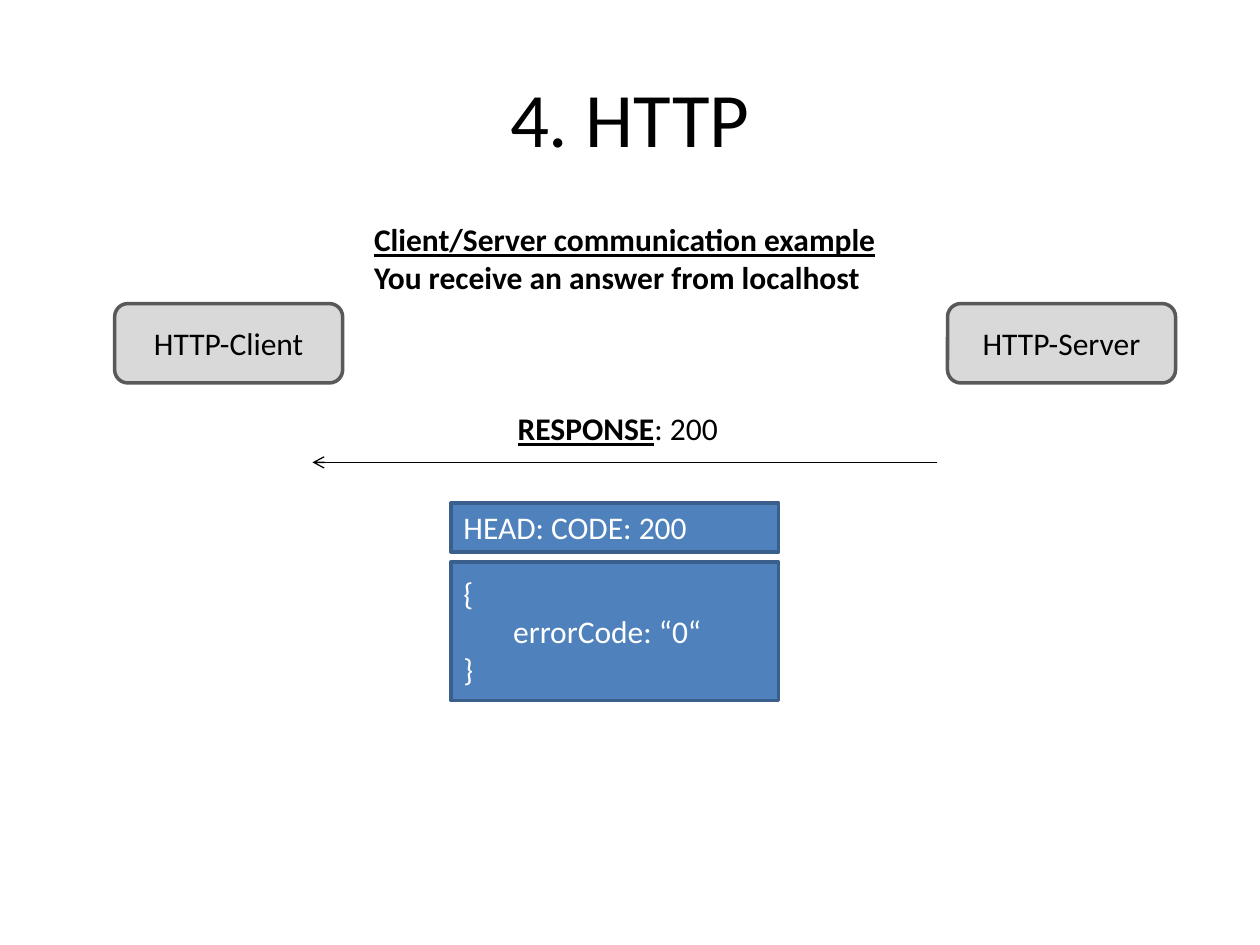
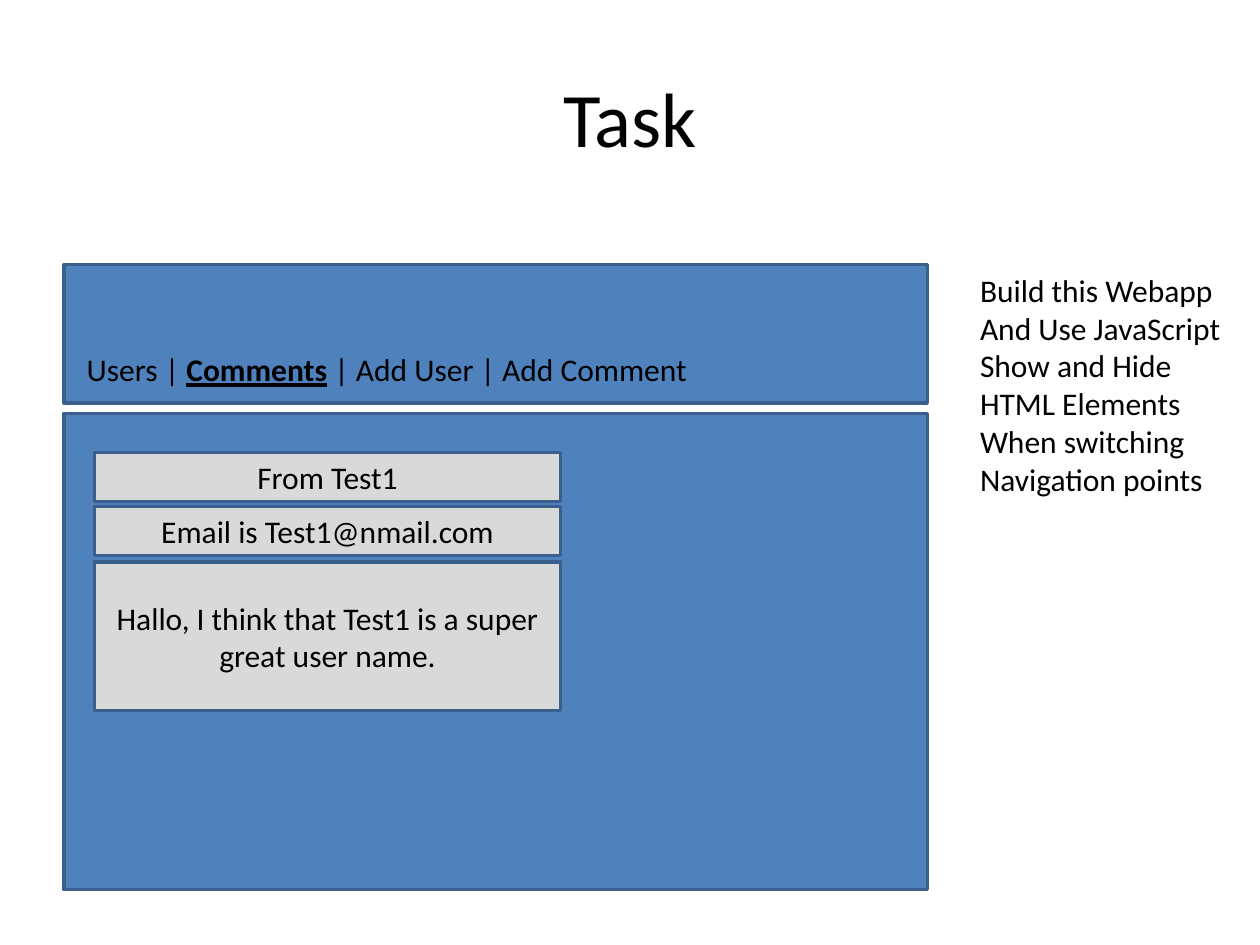
import pptx
import pptx.util
import pptx.dml.color
import pptx.enum.shapes
import pptx.enum.text
import pptx.oxml.ns
import lxml.etree

Inches = pptx.util.Inches
RGBColor = pptx.dml.color.RGBColor
Shape = pptx.enum.shapes.MSO_SHAPE
Align = pptx.enum.text.PP_ALIGN
Anchor = pptx.enum.text.MSO_ANCHOR

BLACK = RGBColor(0x00, 0x00, 0x00)
WHITE = RGBColor(0xFF, 0xFF, 0xFF)
BLUE = RGBColor(0x4F, 0x81, 0xBD)
DARK_BLUE = RGBColor(0x3A, 0x5F, 0x8C)
LIGHT_GREY = RGBColor(0xD9, 0xD9, 0xD9)
DARK_GREY = RGBColor(0x59, 0x59, 0x59)

PLAIN = (False, False)
BOLD = (True, False)
BOLD_UNDERLINED = (True, True)


def add_text(page, area, lines, size=18, align=Align.LEFT, anchor=Anchor.TOP, wrap=False):
    box = page.shapes.add_textbox(*map(Inches, area))
    frame = box.text_frame
    frame.word_wrap = wrap
    frame.vertical_anchor = anchor
    for number, line in enumerate(lines):
        para = frame.add_paragraph() if number else frame.paragraphs[0]
        para.alignment = align
        for words, (bold, underline) in line:
            span = para.add_run()
            span.text = words
            span.font.name = "Calibri"
            span.font.size = pptx.util.Pt(size)
            span.font.color.rgb = BLACK
            span.font.bold = bold
            span.font.underline = underline


def add_block(page, area, text="", fill=BLUE, outline=DARK_BLUE, ink=WHITE,
              align=Align.LEFT, kind=Shape.RECTANGLE):
    block = page.shapes.add_shape(kind, *map(Inches, area))
    block.shadow.inherit = False
    block.fill.solid()
    block.fill.fore_color.rgb = fill
    block.line.color.rgb = outline
    block.line.width = pptx.util.Pt(2)
    block.text_frame.word_wrap = True
    block.text_frame.vertical_anchor = Anchor.MIDDLE
    block.text_frame.text = text
    for para in block.text_frame.paragraphs:
        para.alignment = align
        for span in para.runs:
            span.font.name = "Calibri"
            span.font.size = pptx.util.Pt(18)
            span.font.color.rgb = ink


deck = pptx.Presentation()
deck.slide_width = Inches(10)
deck.slide_height = Inches(7.5)

pages = []
for title in ("4. HTTP", "Task"):
    page = deck.slides.add_slide(deck.slide_layouts[6])
    add_text(page, (0.5, 0.3, 9, 1.25), [[(title, PLAIN)]], size=44,
             align=Align.CENTER, anchor=Anchor.MIDDLE, wrap=True)
    pages.append(page)
http_page, task_page = pages

for left, name in ((0.91, "HTTP-Client"), (7.52, "HTTP-Server")):
    add_block(http_page, (left, 2.41, 1.81, 0.63), name, LIGHT_GREY, DARK_GREY, BLACK,
              Align.CENTER, Shape.ROUNDED_RECTANGLE)

arrow = http_page.shapes.add_connector(
    pptx.enum.shapes.MSO_CONNECTOR.STRAIGHT,
    Inches(7.44), Inches(3.67), Inches(2.48), Inches(3.67))
arrow.line.color.rgb = BLACK
arrow.line.width = pptx.util.Pt(0.75)
qn = pptx.oxml.ns.qn
lxml.etree.SubElement(arrow.line._get_or_add_ln(), qn("a:tailEnd"), type="arrow")
lxml.etree.SubElement(arrow._element.spPr, qn("a:effectLst"))

add_text(http_page, (4.01, 3.2, 1.81, 0.4), [[("RESPONSE", BOLD_UNDERLINED), (": 200", PLAIN)]])
add_block(http_page, (3.58, 3.99, 2.6, 0.39), "HEAD: CODE: 200")
add_block(http_page, (3.58, 4.46, 2.6, 1.1), "{\n       errorCode: “0“\n}")
add_text(http_page, (2.87, 1.7, 4.21, 0.71), [
    [("Client/Server communication example", BOLD_UNDERLINED)],
    [("You receive an answer from localhost", BOLD)],
])

for top, height in ((3.28, 3.78), (2.1, 1.1)):
    add_block(task_page, (0.51, top, 6.85, height))

add_text(task_page, (0.59, 2.73, 5.06, 0.4), [[
    ("Users | ", PLAIN),
    ("Comments", BOLD_UNDERLINED),
    (" | Add User | Add Comment", PLAIN),
]])

comment_fields = (
    (3.59, 0.39, "From Test1"),
    (4.02, 0.39, "Email is Test1@nmail.com"),
    (4.46, 1.18, "Hallo, I think that Test1 is a super great user name."),
)
for top, height, text in comment_fields:
    add_block(task_page, (0.75, top, 3.7, height), text, LIGHT_GREY, ink=BLACK,
              align=Align.CENTER)

instructions = (
    "Build this Webapp",
    "And Use JavaScript",
    "Show and Hide",
    "HTML Elements",
    "When switching",
    "Navigation points",
)
add_text(task_page, (7.68, 2.1, 2.13, 1.92), [[(line, PLAIN)] for line in instructions])

deck.save("out.pptx")
